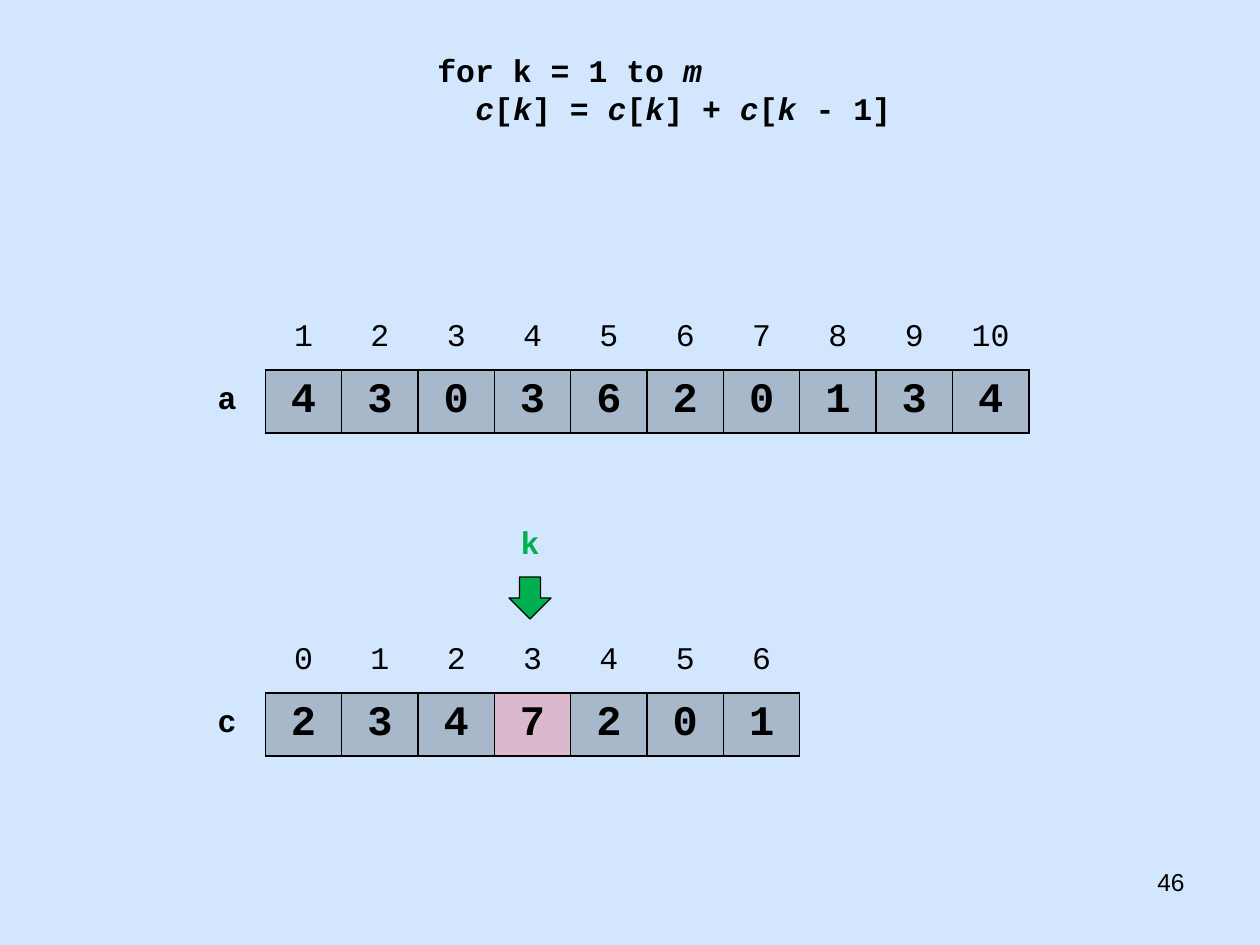
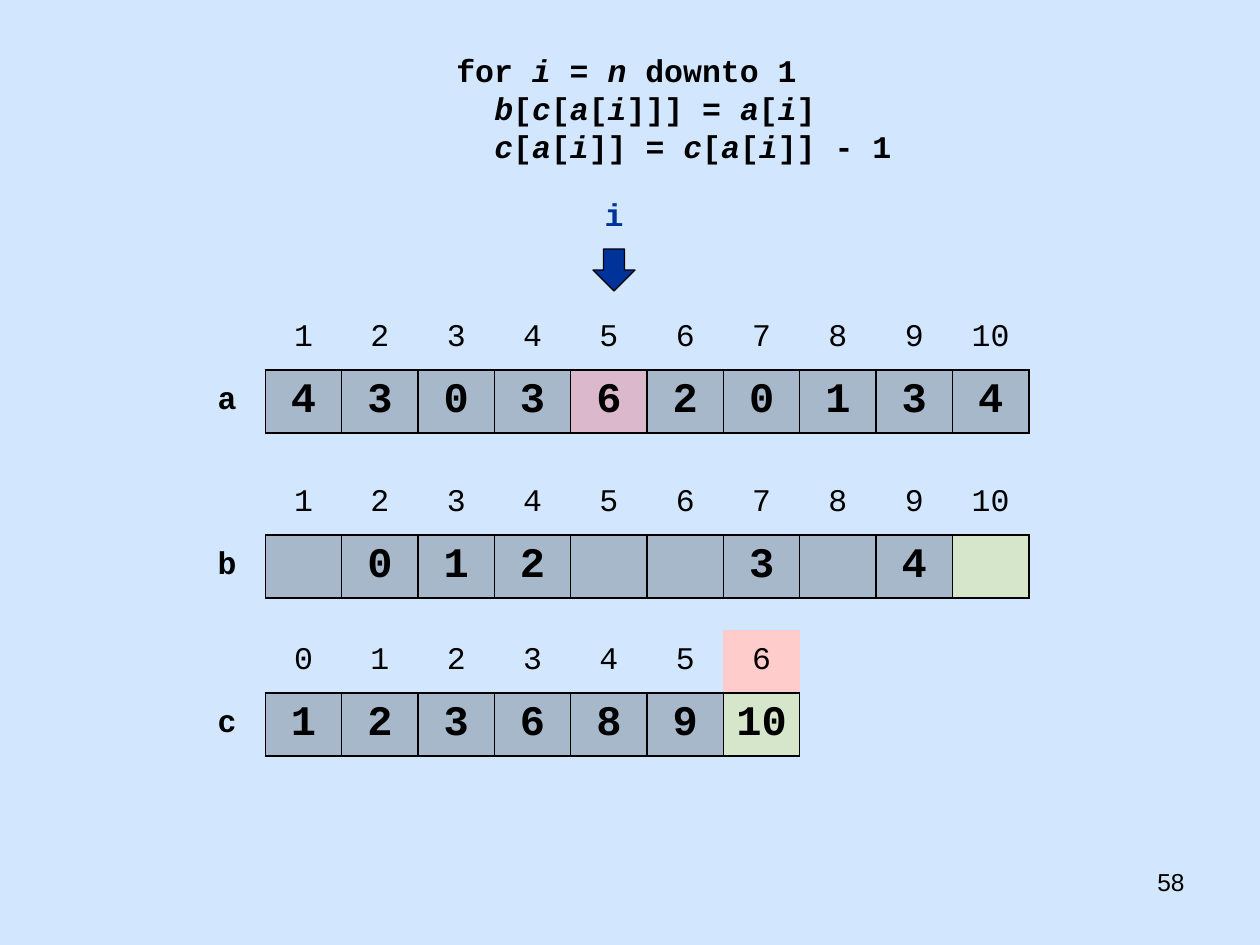
"""Build two slides that step through the loops of counting sort."""
import pptx
import pptx.dml.color
import pptx.enum.shapes
import pptx.enum.text
import pptx.oxml
import pptx.oxml.ns
import pptx.util

RGB = pptx.dml.color.RGBColor
ALIGN = pptx.enum.text.PP_ALIGN
BLACK = RGB(0x00, 0x00, 0x00)
SKY = RGB(0xD2, 0xE7, 0xFE)
RED = RGB(0xFF, 0x00, 0x00)
PINK = RGB(0xFF, 0xCC, 0xCC)
YELLOW = RGB(0xE5, 0xE5, 0x00)
GREEN = RGB(0x00, 0xB0, 0x50)
NAVY = RGB(0x00, 0x33, 0x99)

MONO = {"name": "Courier New", "size": pptx.util.Pt(18)}
BOLD = {**MONO, "bold": True}
VALUE = {**BOLD, "size": pptx.util.Pt(24)}
NUMBER = {"name": "Arial", "size": pptx.util.Pt(14)}
NO_GRID = "{2D5ABB26-0587-4C30-8999-92F81FD0307C}"
BORDER = (
    '<a:ln{} {} w="12700"><a:solidFill><a:srgbClr val="000000"/></a:solidFill></a:ln{}>'
)

ARRAY_LEFT, ROW_HEIGHT = 189, 63
FULL_WIDTH, FULL_COLUMNS = 840, 11
A_TOP, B_TOP, C_TOP = 307, 472, 630
A_VALUES = [4, 3, 0, 3, 6, 2, 0, 1, 3, 4]


def px(n):
    return pptx.util.Emu(round(n * 914400 / 126))


class Deck:
    def __init__(self):
        self.prs = pptx.Presentation()
        self.prs.slide_width, self.prs.slide_height = px(1260), px(945)
        self.s = None

    def slide(self, number):
        self.s = self.prs.slides.add_slide(self.prs.slide_layouts[6])
        fill = self.s.background.fill
        fill.solid()
        fill.fore_color.rgb = SKY
        tf = self.box(903, 861, 294, 65)
        self.text(tf.paragraphs[0], number, NUMBER, ALIGN.RIGHT)

    def box(self, x, y, w, h):
        tf = self.s.shapes.add_textbox(px(x), px(y), px(w), px(h)).text_frame
        tf.word_wrap = True
        return tf

    def text(self, p, content, style, align=ALIGN.LEFT, color=BLACK):
        p.alignment = align
        for i, part in enumerate(str(content).split("*")):
            if part:
                r = p.add_run()
                r.text = part
                for name, value in style.items():
                    setattr(r.font, name, value)
                r.font.italic = i % 2 == 1
                r.font.color.rgb = color

    def code(self, *lines):
        tf = self.box(425, 45, 504, 13 + 38 * len(lines))
        tf.auto_size = pptx.enum.text.MSO_AUTO_SIZE.SHAPE_TO_FIT_TEXT
        for i, (indent, content) in enumerate(lines):
            p = tf.add_paragraph() if i else tf.paragraphs[0]
            p._p.get_or_add_pPr().set("marL", str(px(19 * indent)))
            self.text(p, content, BOLD)

    def marker(self, name, x, y, color):
        tf = self.box(x - 110, y - 60, 262, 50)
        tf.auto_size = pptx.enum.text.MSO_AUTO_SIZE.SHAPE_TO_FIT_TEXT
        self.text(tf.paragraphs[0], name, BOLD, ALIGN.CENTER, color)
        sp = self.s.shapes.add_shape(
            pptx.enum.shapes.MSO_SHAPE.DOWN_ARROW, px(x), px(y), px(42), px(42)
        )
        sp.shadow.inherit = False
        sp.fill.solid()
        sp.fill.fore_color.rgb = color
        sp.line.color.rgb = BLACK
        sp.line.width = pptx.util.Pt(0.75)

    def array(self, name, top, values, first=1, tints=None, index_fills=None):
        tints, index_fills = tints or {}, index_fills or {}
        n = len(values) + 1
        column = px(FULL_WIDTH) // FULL_COLUMNS
        frame = self.s.shapes.add_table(
            2, n, px(ARRAY_LEFT), px(top), column * n, px(2 * ROW_HEIGHT)
        )
        table = frame.table
        table.first_row = table.horz_banding = False
        table._tbl.tblPr.find(pptx.oxml.ns.qn("a:tableStyleId")).text = NO_GRID
        for c in table.columns:
            c.width = column
        for row in table.rows:
            row.height = px(ROW_HEIGHT)
        self.cell(table.cell(0, 0), "", MONO)
        self.cell(table.cell(1, 0), name, BOLD, "R")
        for i, value in enumerate(values):
            index = first + i
            self.cell(table.cell(0, i + 1), index, MONO, "B", index_fills.get(index))
            self.cell(
                table.cell(1, i + 1), value, VALUE, "LRTB", tints.get(index, BLACK), 20
            )

    def cell(self, cell, content, style, sides="", fill=None, opacity=100):
        cell.vertical_anchor = pptx.enum.text.MSO_ANCHOR.MIDDLE
        self.text(cell.text_frame.paragraphs[0], content, style, ALIGN.CENTER)
        tcPr = cell._tc.get_or_add_tcPr()
        if fill is None:
            cell.fill.background()
        else:
            cell.fill.solid()
            cell.fill.fore_color.rgb = fill
            if opacity < 100:
                clr = tcPr.find(".//" + pptx.oxml.ns.qn("a:srgbClr"))
                alpha = pptx.oxml.parse_xml(
                    f'<a:alpha {pptx.oxml.ns.nsdecls("a")} val="{opacity * 1000}"/>'
                )
                clr.append(alpha)
        for i, side in enumerate(sides):
            xml = BORDER.format(side, pptx.oxml.ns.nsdecls("a"), side)
            tcPr.insert(i, pptx.oxml.parse_xml(xml))


def main():
    deck = Deck()

    deck.slide(46)
    deck.array("a", A_TOP, A_VALUES)
    deck.array("c", C_TOP, [2, 3, 4, 7, 2, 0, 1], first=0, tints={3: RED})
    deck.marker("k", 509, 577, GREEN)
    deck.code((0, "for k = 1 to *m*"), (2, "*c*[*k*] = *c*[*k*] + *c*[*k* - 1]"))

    deck.slide(58)
    deck.array("a", A_TOP, A_VALUES, tints={5: RED})
    deck.array(
        "c", C_TOP, [1, 2, 3, 6, 8, 9, 10],
        first=0, tints={6: YELLOW}, index_fills={6: PINK},
    )
    deck.code(
        (1, "for *i* = *n* downto 1"),
        (3, "*b*[*c*[*a*[*i*]]] = *a*[*i*]"),
        (3, "*c*[*a*[*i*]] = *c*[*a*[*i*]] - 1"),
    )
    deck.array("b", B_TOP, ["", 0, 1, 2, "", "", 3, "", 4, ""], tints={10: YELLOW})
    deck.marker("i", 593, 249, NAVY)

    deck.prs.save("out.pptx")


if __name__ == "__main__":
    main()
